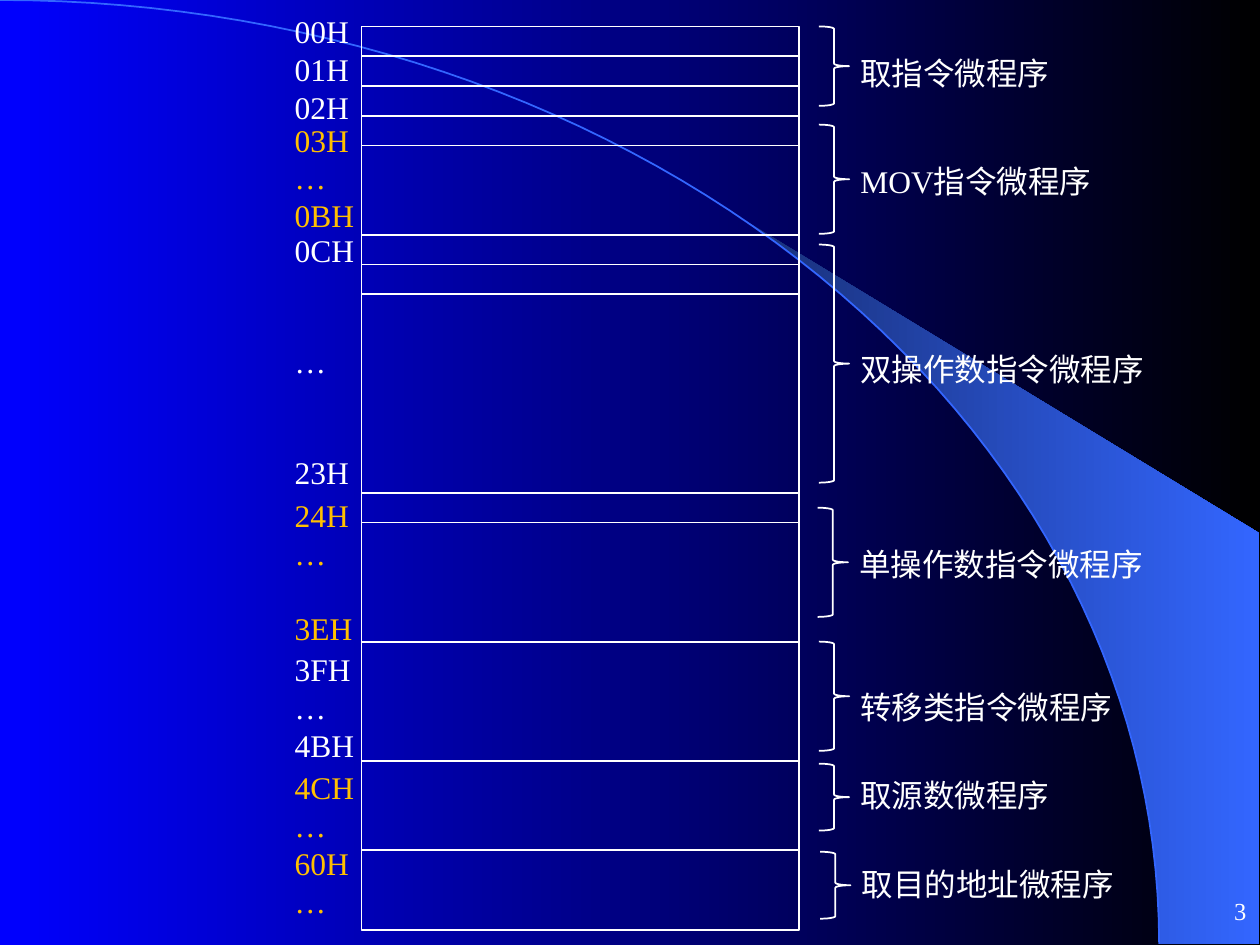
from dataclasses import dataclass
from math import asin, cos, pi, sin

from lxml.etree import SubElement
from pptx import Presentation
from pptx.dml.color import RGBColor
from pptx.enum.shapes import MSO_CONNECTOR, MSO_SHAPE
from pptx.enum.text import MSO_ANCHOR, PP_ALIGN
from pptx.oxml.ns import qn
from pptx.shapes.autoshape import Shape
from pptx.slide import Slide
from pptx.text.text import _Paragraph
from pptx.util import Cm, Inches, Pt


@dataclass(frozen=True)
class Theme:
    font: str = "Times New Roman"
    body: int = 18
    page: int = 14
    stroke: int = 1
    blank_line: int = 21
    white: str = "FFFFFF"
    amber: str = "FFC000"
    blue: str = "0000FF"
    black: str = "000000"
    arc: str = "3366FF"
    wedge: str = "182F76"


@dataclass(frozen=True)
class AddressGroup:
    row: float
    lines: tuple[str, ...]
    color: str
    gaps: tuple[int, ...] = ()


@dataclass(frozen=True)
class Routine:
    name: str
    brace_row: float
    brace_rows: float
    name_row: float
    name_width: float = 2.85
    shift: float = 0


THEME = Theme()
WIDTH, HEIGHT = Inches(10), Inches(7.5)
ROW = Cm(0.6)
MEMORY_TOP = Inches(0.21)
MEMORY_LEFT, MEMORY_WIDTH = Inches(2.87), Inches(3.47)
MEMORY_ROWS = 30.36
ADDRESS_LEFT, ADDRESS_WIDTH = Inches(2.24), Inches(0.71)
BRACE_LEFT, BRACE_WIDTH = Inches(6.5), Inches(0.24)
NAME_LEFT = Inches(6.73)
ARC_WIDTH, ARC_HEIGHT = Inches(9.2), Inches(7.49)
ARC_STEPS = 60

DIVIDERS = (1, 2, 3, 4, 7, 8, 9, 15.67, 16.67, 20.67, 24.67, 27.67)

ADDRESSES = (
    AddressGroup(-0.68, ("00H", "01H", "02H"), THEME.white),
    AddressGroup(2.96, ("03H", "…", "0BH"), THEME.amber),
    AddressGroup(6.65, ("0CH", "…", "23H"), THEME.white, (0, 2, 2)),
    AddressGroup(15.58, ("24H", "…", "3EH"), THEME.amber, (0, 0, 1)),
    AddressGroup(20.75, ("3FH", "…", "4BH"), THEME.white),
    AddressGroup(24.72, ("4CH", "…", "60H", "…"), THEME.amber),
)

ROUTINES = (
    Routine("取指令微程序", 0, 2.67, 0.72, 2.05),
    Routine("MOV指令微程序", 3.3, 3.67, 4.36, 2.05),
    Routine("双操作数指令微程序", 7.33, 8, 10.67, 2.68),
    Routine("单操作数指令微程序", 16.17, 3.67, 17.23, shift=-0.01),
    Routine("转移类指令微程序", 20.67, 3.67, 22.02),
    Routine("取源数微程序", 24.77, 2.25, 24.98),
    Routine("取目的地址微程序", 27.73, 2.25, 27.98, shift=0.01),
)


def row_y(row: float) -> int:
    return round(MEMORY_TOP + row * ROW)


def paint_gradient(fill, colors: tuple[str, str]) -> None:
    fill.gradient()
    fill.gradient_angle = 0
    for stop, position, color in zip(fill.gradient_stops, (0, 1), colors):
        stop.position = position
        stop.color.rgb = RGBColor.from_string(color)


def draw_stroke(line, color: str = THEME.white) -> None:
    line.color.rgb = RGBColor.from_string(color)
    line.width = Pt(THEME.stroke)


def arc_points(start: float) -> list[tuple[int, int]]:
    angles = (start + (pi / 2 - start) * step / ARC_STEPS for step in range(ARC_STEPS + 1))
    return [(round(ARC_WIDTH * sin(a)), round(ARC_HEIGHT * (1 - cos(a)))) for a in angles]


def add_outline(slide: Slide, points: list[tuple[int, int]], close: bool) -> Shape:
    builder = slide.shapes.build_freeform(*points[0])
    builder.add_line_segments(points[1:], close=close)
    outline = builder.convert_to_shape()
    outline.shadow.inherit = False
    return outline


def add_backdrop(slide: Slide) -> None:
    paint_gradient(slide.background.fill, (THEME.blue, THEME.black))
    edge = Inches(9.99)
    corners = [(edge, ARC_HEIGHT), (edge, Inches(4.23))]
    wedge = add_outline(slide, arc_points(asin(0.64)) + corners, True)
    paint_gradient(wedge.fill, (THEME.wedge, THEME.arc))
    wedge.line.fill.background()
    arc = add_outline(slide, arc_points(0), False)
    arc.fill.background()
    draw_stroke(arc.line, THEME.arc)


def add_run(paragraph: _Paragraph, text: str, size: int, color: str) -> None:
    run = paragraph.add_run()
    run.text = text
    run.font.name = THEME.font
    run.font.size = Pt(size)
    run.font.color.rgb = RGBColor.from_string(color)


def add_text(slide: Slide, left: int, top: int, width: int, height: int,
             lines: tuple[str, ...], color: str = THEME.white,
             size: int = THEME.body, gaps: tuple[int, ...] = ()) -> Shape:
    box = slide.shapes.add_textbox(left, top, width, height)
    frame = box.text_frame
    frame.word_wrap = True
    for index, text in enumerate(lines):
        paragraph = frame.add_paragraph() if index else frame.paragraphs[0]
        if gaps and gaps[index]:
            paragraph.space_before = Pt(gaps[index] * THEME.blank_line)
        add_run(paragraph, text, size, color)
    return box


def add_page_number(slide: Slide) -> None:
    page = add_text(slide, Inches(7.91), Inches(6.98), Inches(2.08), Inches(0.5),
                    ("3",), size=THEME.page)
    page.text_frame.vertical_anchor = MSO_ANCHOR.MIDDLE
    page.text_frame.paragraphs[0].alignment = PP_ALIGN.RIGHT


def add_preset(slide: Slide, preset: MSO_SHAPE, left: int, row: float,
               width: int, rows: float) -> None:
    preset_shape = slide.shapes.add_shape(preset, left, row_y(row), width, round(rows * ROW))
    preset_shape.shadow.inherit = False
    preset_shape.fill.background()
    draw_stroke(preset_shape.line)


def add_divider(slide: Slide, row: float) -> None:
    y = row_y(row)
    divider = slide.shapes.add_connector(
        MSO_CONNECTOR.STRAIGHT, MEMORY_LEFT, y, MEMORY_LEFT + MEMORY_WIDTH, y)
    draw_stroke(divider.line)
    SubElement(divider._element.spPr, qn("a:effectLst"))


def add_addresses(slide: Slide, group: AddressGroup) -> None:
    line_count = len(group.lines) + sum(group.gaps)
    add_text(slide, ADDRESS_LEFT, row_y(group.row), ADDRESS_WIDTH,
             Inches(0.1 + 0.3 * line_count), group.lines, group.color, gaps=group.gaps)


def add_routine(slide: Slide, routine: Routine) -> None:
    shift = Inches(routine.shift)
    add_preset(slide, MSO_SHAPE.RIGHT_BRACE, BRACE_LEFT + shift, routine.brace_row,
               BRACE_WIDTH, routine.brace_rows)
    add_text(slide, NAME_LEFT + shift, row_y(routine.name_row),
             Inches(routine.name_width), Inches(0.4), (routine.name,))


def main() -> None:
    deck = Presentation()
    deck.slide_width, deck.slide_height = WIDTH, HEIGHT
    slide = deck.slides.add_slide(deck.slide_layouts[6])
    add_backdrop(slide)
    add_page_number(slide)
    add_preset(slide, MSO_SHAPE.RECTANGLE, MEMORY_LEFT, 0, MEMORY_WIDTH, MEMORY_ROWS)
    for row in DIVIDERS:
        add_divider(slide, row)
    for group in ADDRESSES:
        add_addresses(slide, group)
    for routine in ROUTINES:
        add_routine(slide, routine)
    deck.save("out.pptx")


if __name__ == "__main__":
    main()
